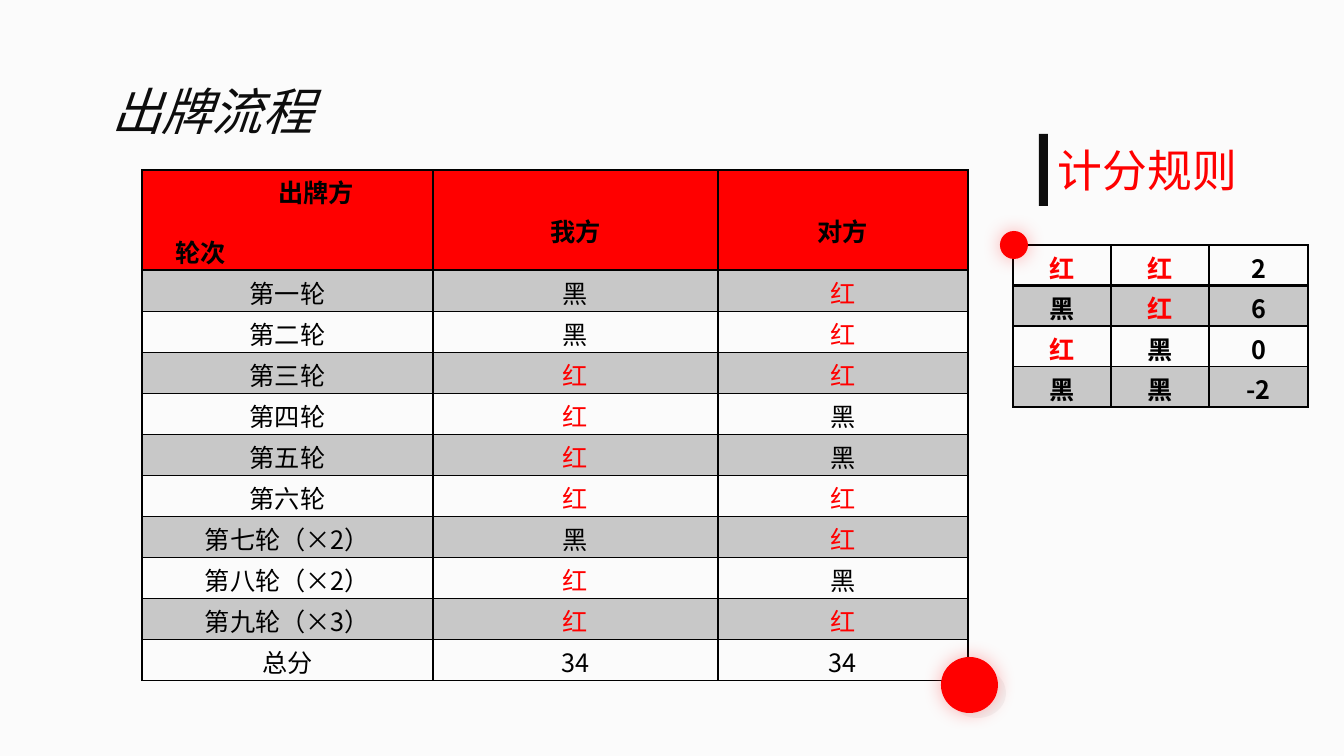
from dataclasses import dataclass

from lxml import etree
from pptx import Presentation, util as u
from pptx.dml import color as dml
from pptx.enum import shapes, text
from pptx.oxml import ns

EMU_PER_PX = 12192000 / 1344
FONT = "Noto Sans CJK SC"
RED, BLACK, INK, PALE = "FF0000", "000000", "0D0D0D", "F2F2F2"
BAND_ALPHA = 20


@dataclass(frozen=True)
class Box:
    left: int
    top: int
    width: int
    height: int

    def emu(self) -> tuple[int, ...]:
        return tuple(map(px, (self.left, self.top, self.width, self.height)))


@dataclass(frozen=True)
class Dot:
    box: Box
    fill: str
    glow: str
    glow_alpha: int


@dataclass(frozen=True)
class Grid:
    left: int
    top: int
    columns: tuple[int, ...]
    heights: tuple[int, ...]
    rows: tuple[tuple[str, ...], ...]
    bold_rows: int


ROUNDS = Grid(
    142, 170, (291, 285, 250), (100,) + (41,) * 10,
    (
        ("出牌方\n轮次", "我方", "对方"),
        ("第一轮", "黑", "红"),
        ("第二轮", "黑", "红"),
        ("第三轮", "红", "红"),
        ("第四轮", "红", "黑"),
        ("第五轮", "红", "黑"),
        ("第六轮", "红", "红"),
        ("第七轮（×2）", "黑", "红"),
        ("第八轮（×2）", "红", "黑"),
        ("第九轮（×3）", "红", "红"),
        ("总分", "34", "34"),
    ),
    1,
)
SCORES = Grid(
    1013, 245, (98, 98, 99), (40,) * 4,
    (("红", "红", "2"), ("黑", "红", "6"), ("红", "黑", "0"), ("黑", "黑", "-2")),
    4,
)
CORNER_DOT = Dot(Box(1000, 231, 28, 28), RED, RED, 30)
TOTAL_DOTS = (
    Dot(Box(949, 668, 57, 50), PALE, "FFFFFF", 79),
    Dot(Box(941, 657, 57, 56), RED, RED, 30),
)


def px(length: int) -> int:
    return round(length * EMU_PER_PX)


def rgb(value: str) -> dml.RGBColor:
    return dml.RGBColor.from_string(value)


def add_element(parent, tag: str, **attributes):
    element = etree.SubElement(parent, ns.qn(tag))
    for name, value in attributes.items():
        element.set(name, str(value))
    return element


def fill_solid(fill, colour: str) -> None:
    fill.solid()
    fill.fore_color.rgb = rgb(colour)


def style(paragraph, size: int, colour: str, bold: bool = False, italic: bool = False) -> None:
    font = paragraph.font
    font.name, font.size = FONT, u.Pt(size)
    font.bold, font.italic = bold, italic
    font.color.rgb = rgb(colour)
    add_element(paragraph._p.pPr.find(ns.qn("a:defRPr")), "a:ea", typeface=FONT)


def write_line(shape, words: str, size: int, colour: str, italic: bool = False) -> None:
    frame = shape.text_frame
    frame.word_wrap = True
    frame.auto_size = text.MSO_AUTO_SIZE.NONE
    frame.vertical_anchor = text.MSO_ANCHOR.MIDDLE
    frame.margin_top = frame.margin_bottom = 0
    frame.text = words
    paragraph = frame.paragraphs[0]
    paragraph.alignment = text.PP_ALIGN.LEFT
    style(paragraph, size, colour, italic=italic)


def add_shape(container, kind: shapes.MSO_SHAPE, box: Box, colour: str):
    shape = container.add_shape(kind, *box.emu())
    shape.shadow.inherit = False
    fill_solid(shape.fill, colour)
    shape.line.fill.background()
    return shape


def add_dot(container, dot: Dot) -> None:
    shape = add_shape(container, shapes.MSO_SHAPE.OVAL, dot.box, dot.fill)
    effects = shape._element.spPr.find(ns.qn("a:effectLst"))
    shadow = add_element(effects, "a:outerShdw", blurRad=u.Pt(14), dist=0, dir=0,
                         algn="ctr", rotWithShape=0)
    glow = add_element(shadow, "a:srgbClr", val=dot.glow)
    add_element(glow, "a:alpha", val=dot.glow_alpha * 1000)


def add_borders(cell, top: int, bottom: int) -> None:
    properties = cell._tc.get_or_add_tcPr()
    for side, width in (("L", 1), ("R", 1), ("T", top), ("B", bottom)):
        line = add_element(properties, f"a:ln{side}", w=u.Pt(width))
        add_element(add_element(line, "a:solidFill"), "a:srgbClr", val=BLACK)


def fill_band(cell) -> None:
    fill_solid(cell.fill, BLACK)
    colour = cell._tc.tcPr.find(f"{ns.qn('a:solidFill')}/{ns.qn('a:srgbClr')}")
    add_element(colour, "a:alpha", val=BAND_ALPHA * 1000)


def add_grid(slide, grid: Grid) -> None:
    box = Box(grid.left, grid.top, sum(grid.columns), sum(grid.heights))
    table = slide.shapes.add_table(len(grid.rows), len(grid.columns), *box.emu()).table
    table.first_row = table.horz_banding = False
    for column, width in zip(table.columns, grid.columns):
        column.width = px(width)
    for row, height in zip(table.rows, grid.heights):
        row.height = px(height)
    for row_index, words in enumerate(grid.rows):
        for column_index, word in enumerate(words):
            cell = table.cell(row_index, column_index)
            cell.margin_top, cell.margin_bottom = px(4), 0
            add_borders(cell, 2 if row_index == 1 else 1, 2 if row_index == 0 else 1)
            if row_index % 2:
                fill_band(cell)
            else:
                cell.fill.background()
            cell.text_frame.text = word
            for paragraph in cell.text_frame.paragraphs:
                paragraph.alignment = text.PP_ALIGN.CENTER
                style(paragraph, 18, RED if word == "红" else BLACK, row_index < grid.bold_rows)
    return table


def format_round_header(table) -> None:
    for column_index in range(len(table.columns)):
        cell = table.cell(0, column_index)
        fill_solid(cell.fill, RED)
        cell.margin_top = px(42)
    corner = table.cell(0, 0)
    corner.margin_top = px(12)
    side, turn = corner.text_frame.paragraphs
    for paragraph, indent in ((side, 126), (turn, 23)):
        paragraph.alignment = text.PP_ALIGN.LEFT
        paragraph.line_spacing = u.Pt(20)
        paragraph._p.pPr.set("marL", str(px(indent)))
    turn.space_before = u.Pt(23)


def main() -> None:
    presentation = Presentation()
    presentation.slide_width, presentation.slide_height = px(1344), px(756)
    slide = presentation.slides.add_slide(presentation.slide_layouts[5])
    fill_solid(slide.background.fill, "FBFBFB")

    title = slide.shapes.title
    title.left, title.top, title.width, title.height = Box(101, 74, 388, 72).emu()
    write_line(title, "出牌流程", 36, INK, italic=True)

    format_round_header(add_grid(slide, ROUNDS))
    add_grid(slide, SCORES)

    add_dot(slide.shapes, CORNER_DOT)
    total_marker = slide.shapes.add_group_shape()
    for dot in TOTAL_DOTS:
        add_dot(total_marker.shapes, dot)

    rule_heading = slide.shapes.add_group_shape()
    add_shape(rule_heading.shapes, shapes.MSO_SHAPE.RECTANGLE, Box(1039, 134, 9, 72), INK)
    label = rule_heading.shapes.add_textbox(*Box(1048, 138, 290, 64).emu())
    write_line(label, "计分规则", 32, RED)

    presentation.save("out.pptx")


if __name__ == "__main__":
    main()
